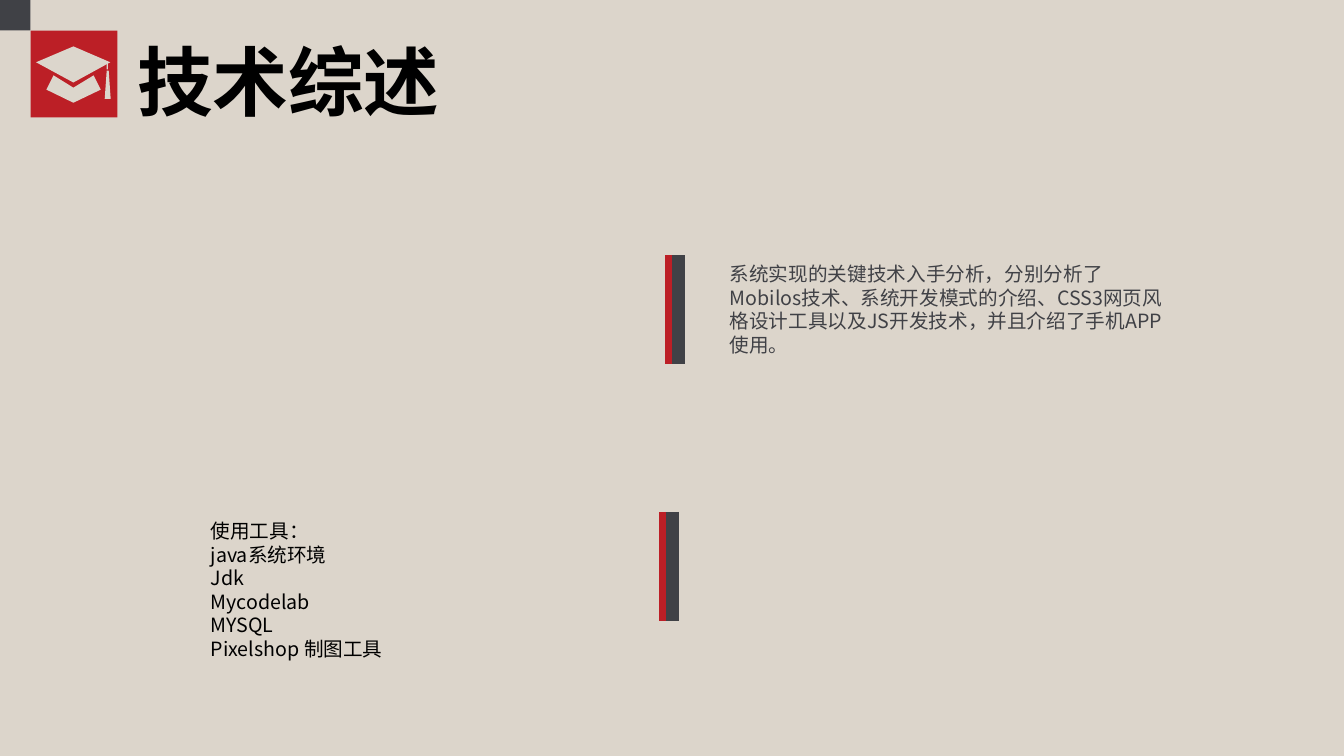
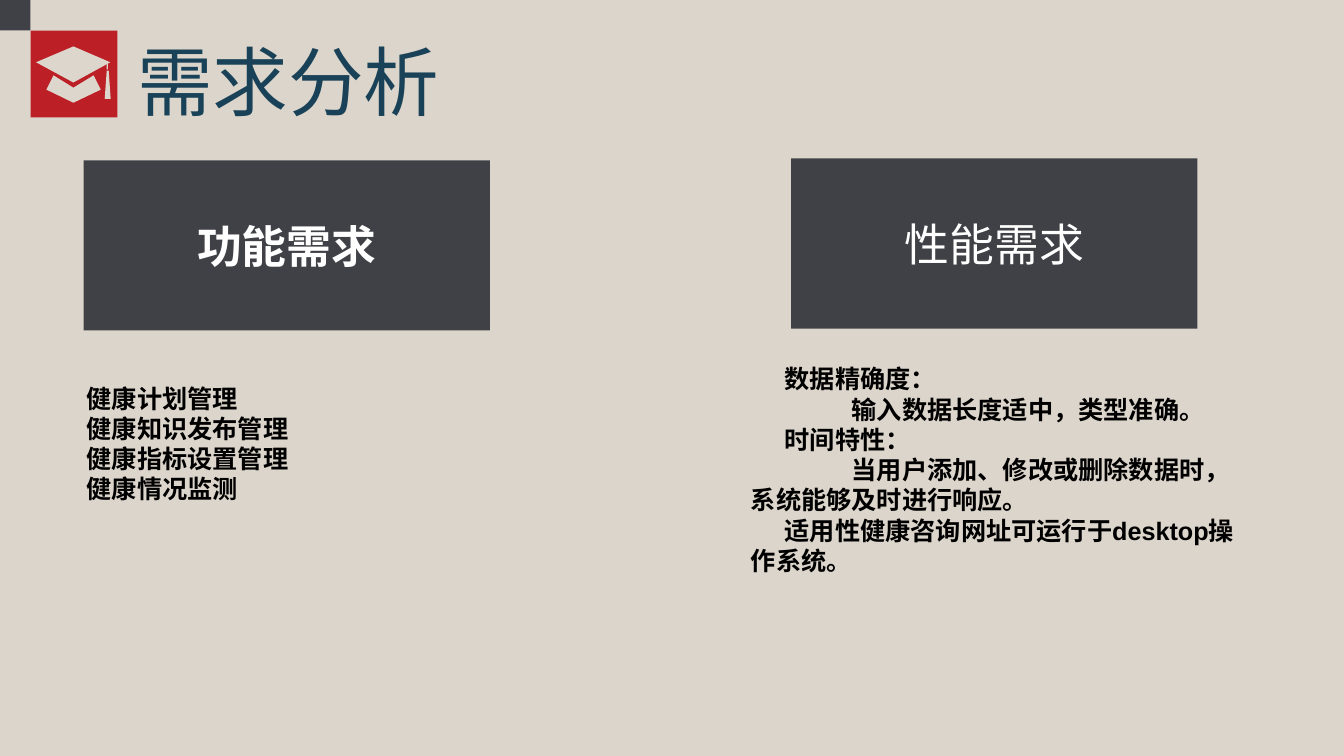
from lxml.etree import SubElement
from pptx import Presentation
from pptx.dml.color import RGBColor
from pptx.enum.shapes import MSO_CONNECTOR, MSO_SHAPE
from pptx.enum.text import MSO_ANCHOR, MSO_AUTO_SIZE, PP_ALIGN
from pptx.oxml.ns import qn
from pptx.util import Cm, Pt

BACKGROUND = "DCD5CB"
DARK = "404146"
RED = "BC1F26"
CREAM = "DCD6CC"
BLACK = "000000"
BLUE = "194258"
WHITE = "FFFFFF"
EAST_ASIAN_FONT = "Noto Sans CJK SC"


def color(value):
    return RGBColor.from_string(value)


class Deck:
    """Holds the shared style and the slide being built."""

    def __init__(self):
        self.presentation = Presentation()
        self.presentation.slide_width = Cm(33.87)
        self.presentation.slide_height = Cm(19.05)
        background = self.presentation.slide_master.background.fill
        background.solid()
        background.fore_color.rgb = color(BACKGROUND)
        self.slide = None

    def new_slide(self, title, title_color, bold=False):
        layout = self.presentation.slide_layouts.get_by_name("Two Content")
        self.slide = self.presentation.slides.add_slide(layout)
        self.fill_text(self.slide.shapes.title, (3.2, 0.76, 8.2, 2.57), [title],
                       54, "Roboto Condensed", title_color, bold)
        self.slide.shapes.title.text_frame.word_wrap = False
        self.emblem()

    def emblem(self):
        """Corner squares with a graduation cap."""
        self.rectangle(0, 0, 0.77, 0.77, DARK)
        self.rectangle(0.77, 0.77, 2.19, 2.19, RED)
        self.polygon([(1.85, 1.17), (2.78, 1.57), (1.85, 2.08), (0.91, 1.57)])
        self.polygon([(1.35, 1.9), (1.85, 2.21), (2.36, 1.9),
                      (2.54, 2.26), (1.85, 2.59), (1.17, 2.26)])
        self.rectangle(2.69, 1.57, 0.03, 0.18, CREAM)
        self.polygon([(2.64, 2.49), (2.79, 2.49), (2.74, 1.78), (2.69, 1.78)])

    def paint(self, shape, fill):
        shape.shadow.inherit = False
        shape.fill.solid()
        shape.fill.fore_color.rgb = color(fill)
        shape.line.fill.background()

    def rectangle(self, left, top, width, height, fill):
        shape = self.slide.shapes.add_shape(
            MSO_SHAPE.RECTANGLE, Cm(left), Cm(top), Cm(width), Cm(height))
        self.paint(shape, fill)
        return shape

    def polygon(self, points):
        start, *others = [(Cm(x), Cm(y)) for x, y in points]
        builder = self.slide.shapes.build_freeform(*start)
        builder.add_line_segments(others, close=True)
        self.paint(builder.convert_to_shape(), CREAM)

    def divider(self, left, top):
        """Thin red rule beside a thick dark one."""
        for x, line_color, width in ((left + 0.25, DARK, 10), (left, RED, 5)):
            connector = self.slide.shapes.add_connector(
                MSO_CONNECTOR.STRAIGHT, Cm(x), Cm(top), Cm(x), Cm(top + 2.74))
            connector.line.color.rgb = color(line_color)
            connector.line.width = Pt(width)
            SubElement(connector._element.spPr, qn("a:effectLst"))

    def heading_box(self, left, top, text, bold=False):
        shape = self.rectangle(left, top, 10.24, 4.29, DARK)
        shape.text_frame.vertical_anchor = MSO_ANCHOR.MIDDLE
        paragraph = shape.text_frame.paragraphs[0]
        paragraph.text = text
        paragraph.alignment = PP_ALIGN.CENTER
        self.style(paragraph, 32, "Calibri", WHITE, bold)

    def body(self, index, box, lines, size, font, text_color,
             bold=False, indents=None, insets=None):
        shape = self.slide.placeholders[index]
        self.fill_text(shape, box, lines, size, font, text_color, bold, indents)
        if insets:
            frame = shape.text_frame
            frame.margin_left = frame.margin_right = Cm(insets[0])
            frame.margin_top = frame.margin_bottom = Cm(insets[1])

    def fill_text(self, shape, box, lines, size, font, text_color,
                  bold=False, indents=None):
        shape.left, shape.top, shape.width, shape.height = map(Cm, box)
        frame = shape.text_frame
        frame.text = "\n".join(lines)
        frame.word_wrap = True
        frame.auto_size = MSO_AUTO_SIZE.NONE
        frame.vertical_anchor = MSO_ANCHOR.TOP
        indents = indents or [0] * len(lines)
        for paragraph, indent in zip(frame.paragraphs, indents):
            paragraph.alignment = PP_ALIGN.LEFT
            paragraph.space_before = Pt(0)
            properties = paragraph._p.get_or_add_pPr()
            properties.set("marL", "0")
            properties.set("indent", str(Cm(indent)))
            SubElement(properties, qn("a:buNone"))
            self.style(paragraph, size, font, text_color, bold)

    def style(self, paragraph, size, font, text_color, bold):
        paragraph.font.size = Pt(size)
        paragraph.font.bold = bold
        paragraph.font.color.rgb = color(text_color)
        paragraph.font.name = font
        defaults = paragraph._p.pPr.find(qn("a:defRPr"))
        SubElement(defaults, qn("a:ea"), typeface=EAST_ASIAN_FONT)


def technology_slide(deck):
    deck.new_slide("技术综述", BLACK, bold=True)
    insets = (0.18, 0.1)

    # Key technologies
    deck.divider(16.84, 6.43)
    deck.body(1, (18.21, 6.5, 11.53, 2.59), [
        "系统实现的关键技术入手分析，分别分析了Mobilos技术、系统开发模式的介绍、"
        "CSS3网页风格设计工具以及JS开发技术，并且介绍了手机APP",
        "使用。",
    ], 14, EAST_ASIAN_FONT, DARK, insets=insets)

    # Tools
    deck.divider(16.69, 12.9)
    deck.body(2, (5.13, 12.98, 11.53, 3.78), [
        "使用工具：", "java系统环境", "Jdk", "Mycodelab", "MYSQL",
        "Pixelshop 制图工具",
    ], 14, EAST_ASIAN_FONT, BLACK, insets=insets)


def requirements_slide(deck):
    deck.new_slide("需求分析", BLUE)

    # Functional requirements
    deck.heading_box(2.11, 4.04, "功能需求", bold=True)
    deck.body(1, (1.93, 9.52, 13.69, 3.33), [
        "健康计划管理", "健康知识发布管理", "健康指标设置管理", "健康情况监测",
    ], 18, "Arial", BLACK, bold=True)

    # Performance requirements
    deck.heading_box(19.94, 3.99, "性能需求")
    deck.body(2, (18.67, 9.04, 12.75, 6.4), [
        "数据精确度：",
        "输入数据长度适中，类型准确。",
        "时间特性：",
        "当用户添加、修改或删除数据时，系统能够及时进行响应。",
        "适用性健康咨询网址可运行于desktop操作系统。",
    ], 18, "Arial", BLACK, bold=True, indents=[0.85, 2.54, 0.85, 2.54, 0.85])


def main():
    deck = Deck()
    technology_slide(deck)
    requirements_slide(deck)
    deck.presentation.save("out.pptx")


if __name__ == "__main__":
    main()
